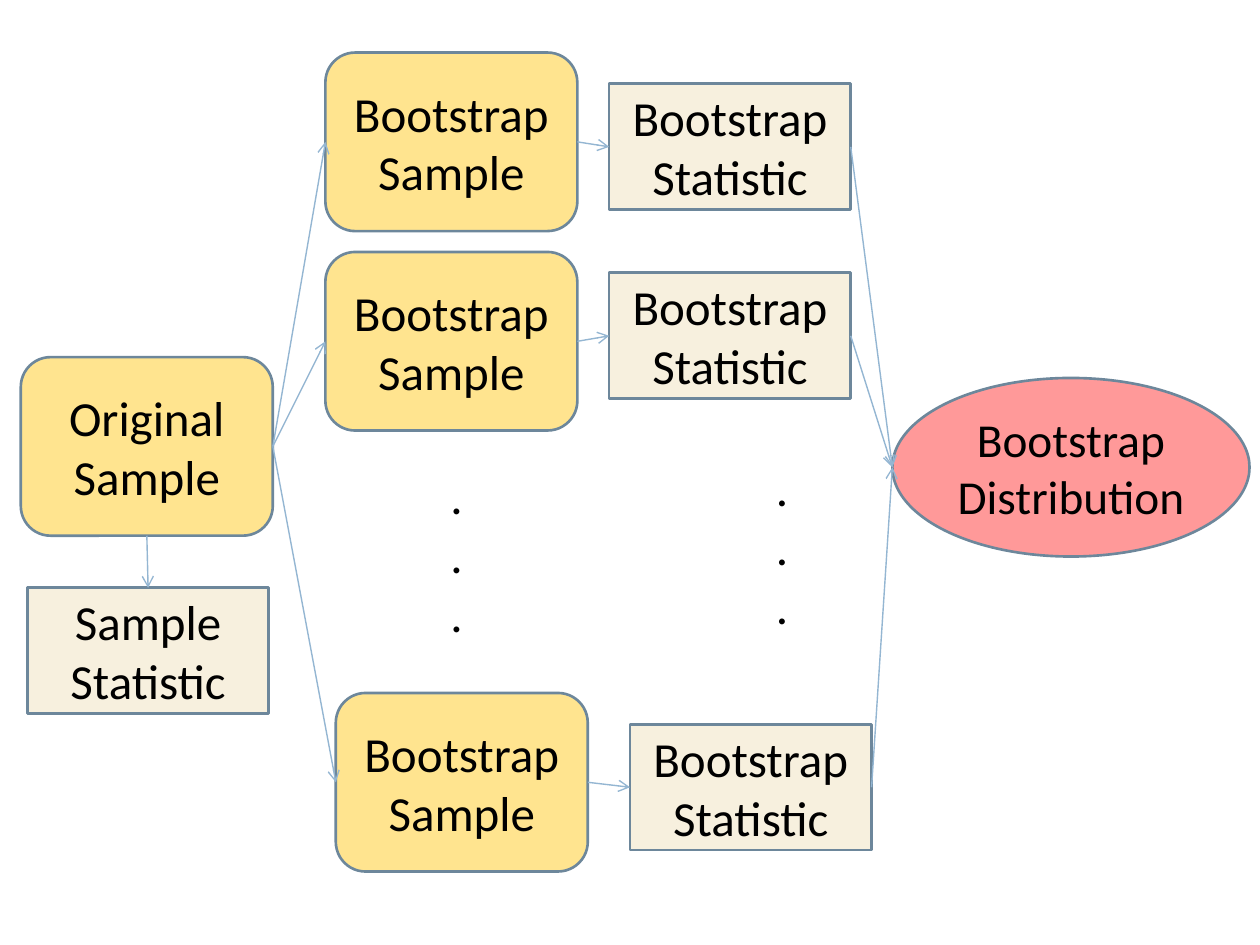
from lxml import etree
from pptx import Presentation
from pptx.dml.color import RGBColor
from pptx.enum import shapes, text
from pptx.oxml import ns
from pptx.util import Cm, Pt

BLACK = RGBColor(0x00, 0x00, 0x00)
YELLOW = RGBColor(0xFF, 0xE4, 0x8F)
CREAM = RGBColor(0xF7, 0xF0, 0xDE)
PINK = RGBColor(0xFF, 0x99, 0x99)
OUTLINE = RGBColor(0x6D, 0x87, 0x9B)
ARROW = RGBColor(0x94, 0xB6, 0xD2)
FONT = "Calibri"

# Box kinds: preset shape, width and height in cm, fill, text size
SAMPLE = (shapes.MSO_SHAPE.ROUNDED_RECTANGLE, 5.08, 3.6, YELLOW, 28)
STATISTIC = (shapes.MSO_SHAPE.RECTANGLE, 4.87, 2.54, CREAM, 28)
DISTRIBUTION = (shapes.MSO_SHAPE.OVAL, 7.2, 3.6, PINK, 27)

# Content: (left, top) in cm of each resample and of its statistic
RESAMPLES = [
    ((6.56, 1.06), (12.28, 1.69)),
    ((6.56, 5.08), (12.28, 5.5)),
    ((6.77, 13.97), (12.7, 14.6)),
]
DOTS = [(7.62, 9.26), (14.18, 9.1)]
DOTS_SIZE = (3.17, 3.84)

TOP, LEFT, BOTTOM, RIGHT = range(4)


def add_text(paragraph, words, size):
    paragraph.alignment = text.PP_ALIGN.CENTER
    for index, word in enumerate(words):
        if index:
            paragraph.add_line_break()
        run = paragraph.add_run()
        run.text = word
        run.font.name = FONT
        run.font.size = Pt(size)
        run.font.color.rgb = BLACK


def add_box(slide, kind, position, *words):
    preset, width, height, fill, size = kind
    left, top = position
    box = slide.shapes.add_shape(preset, Cm(left), Cm(top), Cm(width), Cm(height))
    box.shadow.inherit = False
    box.fill.solid()
    box.fill.fore_color.rgb = fill
    box.line.color.rgb = OUTLINE
    box.line.width = Pt(1.5)
    frame = box.text_frame
    frame.word_wrap = True
    frame.vertical_anchor = text.MSO_ANCHOR.MIDDLE
    if kind is DISTRIBUTION:
        frame.margin_left = frame.margin_right = 0
        frame.margin_top = frame.margin_bottom = 0
    add_text(frame.paragraphs[0], words, size)
    return box


def add_arrow(slide, start, start_side, end, end_side=LEFT):
    arrow = slide.shapes.add_connector(
        shapes.MSO_CONNECTOR.STRAIGHT, 0, 0, end.left, end.top + end.height // 2)
    arrow.begin_connect(start, start_side)
    # The ellipse numbers its sides differently, so its arrows end there unjoined
    if end.auto_shape_type != shapes.MSO_SHAPE.OVAL:
        arrow.end_connect(end, end_side)
    arrow.line.color.rgb = ARROW
    arrow.line.width = Pt(0.79)
    etree.SubElement(arrow.line._get_or_add_ln(), ns.qn("a:tailEnd"), type="arrow")
    etree.SubElement(arrow._element.spPr, ns.qn("a:effectLst"))


def add_dots(slide, position):
    box = slide.shapes.add_textbox(*(Cm(n) for n in position + DOTS_SIZE))
    frame = box.text_frame
    frame.word_wrap = True
    frame.auto_size = text.MSO_AUTO_SIZE.SHAPE_TO_FIT_TEXT
    for index in range(3):
        paragraph = frame.add_paragraph() if index else frame.paragraphs[0]
        add_text(paragraph, ["."], 28)


def main():
    deck = Presentation()
    deck.slide_width, deck.slide_height = Cm(25.4), Cm(19.05)
    slide = deck.slides.add_slide(deck.slide_layouts[6])

    # Original sample and its statistic
    original = add_box(slide, SAMPLE, (0.42, 7.2), "Original Sample")
    sample_statistic = add_box(slide, STATISTIC, (0.55, 11.85), "Sample Statistic")
    add_arrow(slide, original, BOTTOM, sample_statistic, TOP)

    # Bootstrap resamples, each feeding the distribution
    distribution = add_box(slide, DISTRIBUTION, (17.99, 7.62), "Bootstrap Distribution")
    for sample_at, statistic_at in RESAMPLES:
        sample = add_box(slide, SAMPLE, sample_at, "Bootstrap", "Sample")
        statistic = add_box(slide, STATISTIC, statistic_at, "Bootstrap Statistic")
        add_arrow(slide, original, RIGHT, sample)
        add_arrow(slide, sample, RIGHT, statistic)
        add_arrow(slide, statistic, RIGHT, distribution)

    # Dots for the resamples left out
    for position in DOTS:
        add_dots(slide, position)

    deck.save("out.pptx")


if __name__ == "__main__":
    main()
